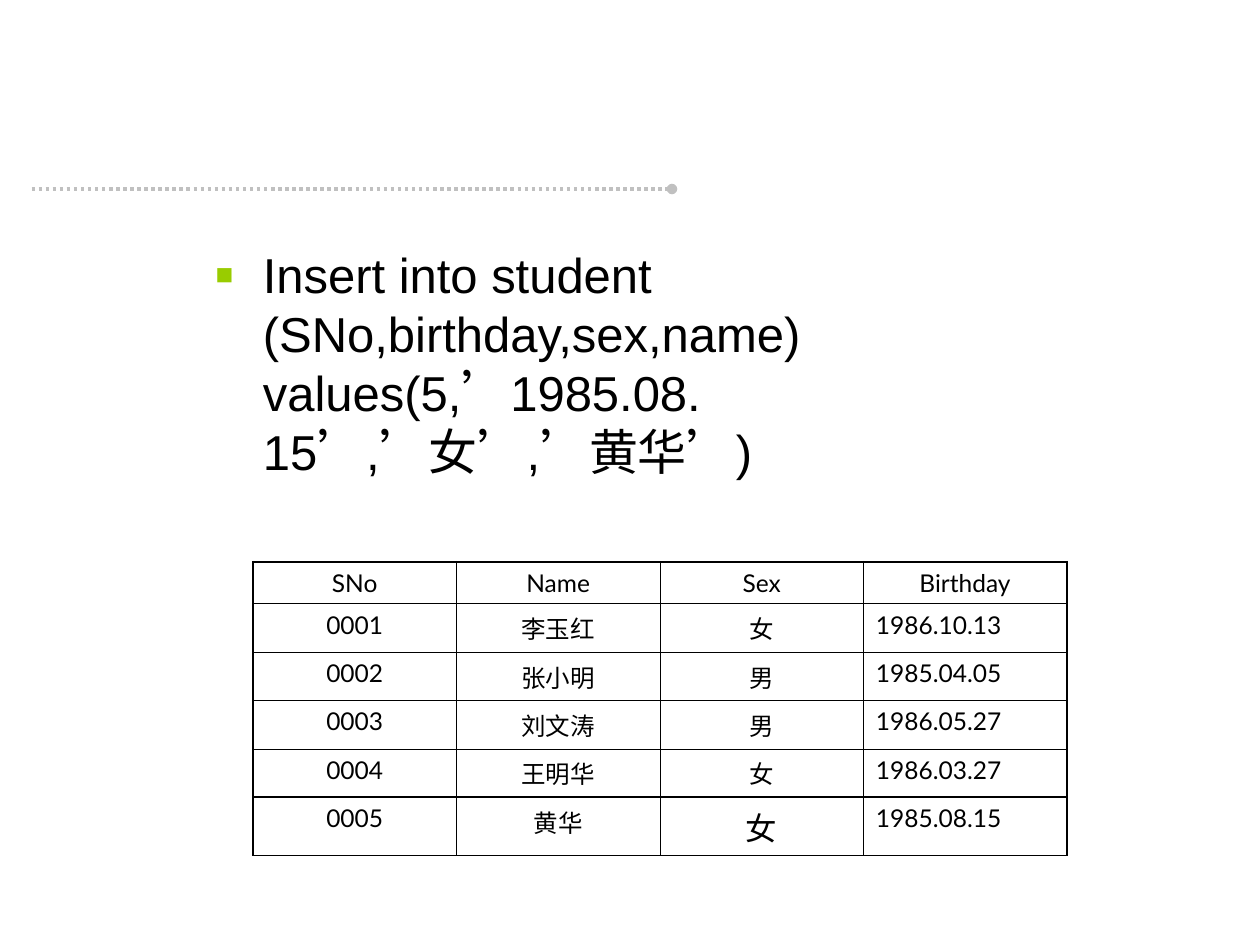
from pptx import Presentation
from pptx.dml.color import RGBColor
from pptx.enum.dml import MSO_LINE
from pptx.enum.shapes import MSO_CONNECTOR
from pptx.enum.text import MSO_ANCHOR, MSO_AUTO_SIZE, PP_ALIGN
from pptx.oxml.ns import qn
from pptx.util import Pt
from lxml import etree

STRAIGHT = MSO_CONNECTOR.STRAIGHT
DOTTED = MSO_LINE.ROUND_DOT
TOP = MSO_ANCHOR.TOP
NO_AUTOSIZE = MSO_AUTO_SIZE.NONE
CENTER, LEFT = PP_ALIGN.CENTER, PP_ALIGN.LEFT

BLACK, GRAY, GREEN = "000000", "C0C0C0", "99CC00"
THIN, THICK = 0.45, 1.08
STATEMENT = "Insert into student (SNo,birthday,sex,name) values(5,’1985.08.15’,’女’,’黄华’)"
STUDENTS = [
    ("SNo", "Name", "Sex", "Birthday"),
    ("0001", "李玉红", "女", "1986.10.13"),
    ("0002", "张小明", "男", "1985.04.05"),
    ("0003", "刘文涛", "男", "1986.05.27"),
    ("0004", "王明华", "女", "1986.03.27"),
    ("0005", "黄华", "女", "1985.08.15"),
]


def color(value):
    return RGBColor.from_string(value)


def add_element(parent, tag, **attributes):
    return etree.SubElement(parent, qn(tag), attributes)


def format_font(font, name, size):
    font.name = name
    font.size = Pt(size)
    font.color.rgb = color(BLACK)


def add_title_rule(slide, left, top, width):
    rule = slide.shapes.add_connector(STRAIGHT, Pt(left), Pt(top), Pt(left + width), Pt(top))
    rule.line.color.rgb = color(GRAY)
    rule.line.width = Pt(2)
    rule.line.dash_style = DOTTED
    add_element(rule.line._get_or_add_ln(), "a:tailEnd", type="oval")
    add_element(rule._element.spPr, "a:effectLst")


def add_statement(slide, left, top, width, height):
    body = slide.placeholders[1]
    body.left, body.top, body.width, body.height = Pt(left), Pt(top), Pt(width), Pt(height)
    frame = body.text_frame
    frame.word_wrap = True
    frame.auto_size = NO_AUTOSIZE
    frame.vertical_anchor = TOP
    frame.margin_top = Pt(5)
    frame.text = STATEMENT
    paragraph = frame.paragraphs[0]
    properties = paragraph._p.get_or_add_pPr()
    properties.set("marL", str(Pt(27)))
    properties.set("indent", str(Pt(-27)))
    bullet_color = add_element(properties, "a:buClr")
    add_element(bullet_color, "a:srgbClr", val=GREEN)
    add_element(properties, "a:buSzPct", val="60000")
    add_element(properties, "a:buFont", typeface="Arial")
    add_element(properties, "a:buChar", char="■")
    paragraph.space_before = Pt(0)
    paragraph.line_spacing = Pt(33.7)
    format_font(paragraph.runs[0].font, "Arial", 28)


def add_border(cell, side, width):
    line = add_element(cell._tc.get_or_add_tcPr(), f"a:ln{side}", w=str(Pt(width)))
    fill = add_element(line, "a:solidFill")
    add_element(fill, "a:srgbClr", val=BLACK)


def add_student_table(slide, left, top, width, row_height, last_height):
    last_row, last_column = len(STUDENTS) - 1, len(STUDENTS[0]) - 1
    height = row_height * last_row + last_height
    table = slide.shapes.add_table(
        last_row + 1, last_column + 1, Pt(left), Pt(top), Pt(width), Pt(height)
    ).table
    table.first_row = table.horz_banding = False
    for row in table.rows:
        row.height = Pt(row_height)
    table.rows[last_row].height = Pt(last_height)
    for r, student in enumerate(STUDENTS):
        for c, value in enumerate(student):
            cell = table.cell(r, c)
            cell.text = value
            paragraph = cell.text_frame.paragraphs[0]
            paragraph.alignment = LEFT if r and c == last_column else CENTER
            size = 18 if (r, c) == (last_row, 2) else 14
            format_font(paragraph.runs[0].font, "Lato", size)
            thick_sides = {
                "L": c == 0,
                "R": c == last_column,
                "T": r in (0, last_row),
                "B": r >= last_row - 1,
            }
            for side, thick in thick_sides.items():
                add_border(cell, side, THICK if thick else THIN)
            cell.fill.background()


def main():
    deck = Presentation()
    deck.slide_width, deck.slide_height = Pt(720), Pt(540)
    slide = deck.slides.add_slide(deck.slide_layouts[1])
    title = slide.shapes.title._element
    title.getparent().remove(title)
    add_title_rule(slide, 18, 108, 366)
    add_statement(slide, 116, 134.6, 493, 175.5)
    add_student_table(slide, 144.6, 321, 465, 24, 29)
    deck.save("out.pptx")


if __name__ == "__main__":
    main()
